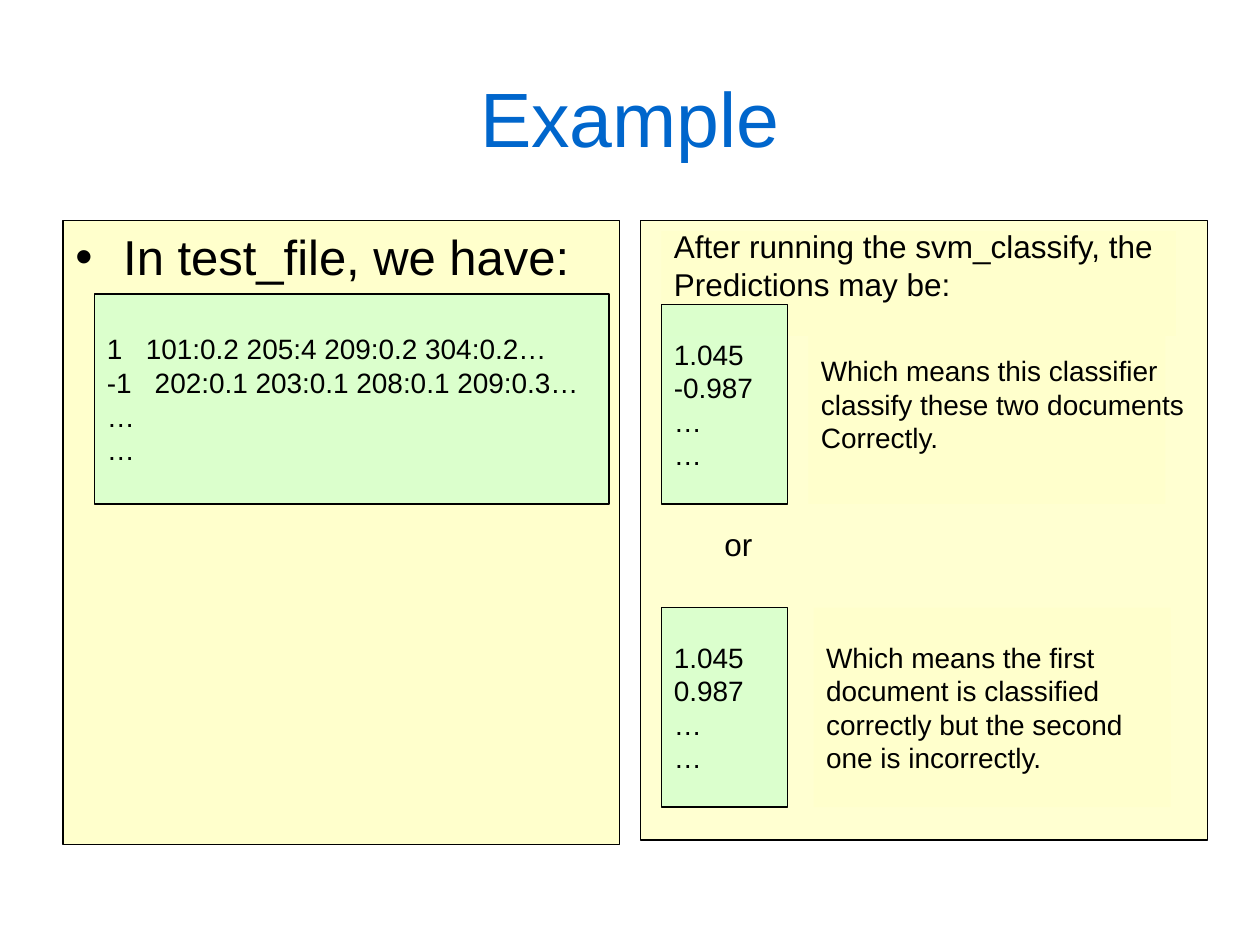
from dataclasses import dataclass

from lxml import etree
from pptx import Presentation
from pptx import util as u
from pptx.dml import color
from pptx.enum import shapes, text
from pptx.oxml import ns

COLORS = {
    "title": "0066CC",
    "ink": "000000",
    "cream": "FFFFCC",
    "mint": "CCFFCC",
}
COLUMNS, ROWS = 120, 90
LEFT_PANEL, RIGHT_PANEL, PANEL_TOP = 6, 61, 21
RESULT_LEFT, RESULT_WIDTH, RESULT_HEIGHT = 63, 12, 19
FIRST_ROW, SECOND_ROW = 29, 57.88

deck = Presentation()
deck.slide_width, deck.slide_height = u.Inches(10), u.Inches(7.5)
page = deck.slides.add_slide(deck.slide_layouts[6])


@dataclass(frozen=True)
class Panel:
    column: float
    row: float
    width: float
    height: float
    fill: str
    opacity: int = 100
    outlined: bool = False
    lines: tuple[str, ...] = ()
    size: float = 16
    bottom_inset: float = 0.05
    tabs: tuple[float, ...] = ()


def rgb(name: str) -> color.RGBColor:
    return color.RGBColor.from_string(COLORS[name])


def place(column: float, row: float, width: float, height: float) -> tuple[int, ...]:
    cell_width = deck.slide_width / COLUMNS
    cell_height = deck.slide_height / ROWS
    return (round(column * cell_width), round(row * cell_height),
            round(width * cell_width), round(height * cell_height))


def write(box, *lines: str, size: float = 16, ink: str = "ink", align=text.PP_ALIGN.LEFT,
          anchor=text.MSO_ANCHOR.MIDDLE, wrap: bool = False, bottom_inset: float = 0.05,
          tabs: tuple[float, ...] = (), bullet: bool = False, grow: bool = False) -> None:
    frame = box.text_frame
    frame.word_wrap = wrap
    frame.vertical_anchor = anchor
    frame.margin_bottom = u.Inches(bottom_inset)
    if grow:
        frame.auto_size = text.MSO_AUTO_SIZE.SHAPE_TO_FIT_TEXT
    for index, line in enumerate(lines):
        para = frame.paragraphs[0] if index == 0 else frame.add_paragraph()
        para.alignment = align
        properties = para._p.get_or_add_pPr()
        if bullet:
            para.space_before = u.Pt(7)
            properties.set("marL", str(u.Inches(0.38)))
            properties.set("indent", str(-u.Inches(0.38)))
            font = etree.SubElement(properties, ns.qn("a:buFont"))
            font.set("typeface", "Arial")
            mark = etree.SubElement(properties, ns.qn("a:buChar"))
            mark.set("char", "•")
        if index < len(tabs):
            stops = etree.SubElement(properties, ns.qn("a:tabLst"))
            stop = etree.SubElement(stops, ns.qn("a:tab"))
            stop.set("pos", str(u.Inches(tabs[index])))
            stop.set("algn", "l")
        span = para.add_run()
        span.text = line
        span.font.name = "Arial"
        span.font.size = u.Pt(size)
        span.font.color.rgb = rgb(ink)


def draw(panel: Panel):
    box = page.shapes.add_shape(
        shapes.MSO_SHAPE.RECTANGLE,
        *place(panel.column, panel.row, panel.width, panel.height))
    box.shadow.inherit = False
    box.fill.solid()
    box.fill.fore_color.rgb = rgb(panel.fill)
    if panel.opacity < 100:
        shade = box._element.spPr.find(ns.qn("a:solidFill"))[0]
        alpha = etree.SubElement(shade, ns.qn("a:alpha"))
        alpha.set("val", str(panel.opacity * 1000))
    if panel.outlined:
        box.line.color.rgb = rgb("ink")
        box.line.width = u.Pt(0.74)
    else:
        box.line.fill.background()
    write(box, *panel.lines, size=panel.size,
          bottom_inset=panel.bottom_inset, tabs=panel.tabs)
    return box


def result(row: float, *values: str) -> Panel:
    return Panel(RESULT_LEFT, row, RESULT_WIDTH, RESULT_HEIGHT, "mint", 70, True,
                 (*values, "…", "…"))


def meaning(column: float, row: float, *lines: str) -> Panel:
    return Panel(column, row, 34, RESULT_HEIGHT, "cream", 90, lines=lines)


draw(Panel(RIGHT_PANEL, PANEL_TOP, 54, 59, "cream", 90, True))
draw(meaning(77.5, SECOND_ROW, "Which means the first ", "document is classified ",
             "correctly but the second", "one is incorrectly."))

title = page.shapes.add_textbox(*place(LEFT_PANEL, 3.6, 108, 15))
write(title, "Example", size=44, ink="title", align=text.PP_ALIGN.CENTER, wrap=True)

test_file = draw(Panel(LEFT_PANEL, PANEL_TOP, 53, 59.4, "cream", outlined=True))
write(test_file, "In test_file, we have:", size=28, anchor=text.MSO_ANCHOR.TOP,
      wrap=True, bullet=True)

PANELS = (
    Panel(9, 28, 49, 20, "mint", 70, True,
          ("1\t101:0.2 205:4 209:0.2 304:0.2…",
           "-1\t202:0.1 203:0.1 208:0.1 209:0.3…", "…", "…"),
          tabs=(0.31, 0.38)),
    Panel(RESULT_LEFT, 22, 49, 10, "cream", 90,
          lines=("After running the svm_classify, the ", "Predictions may be:"),
          size=18, bottom_inset=0.35),
    result(FIRST_ROW, "1.045", "-0.987"),
    meaning(77, FIRST_ROW, "Which means this classifier",
            "classify these two documents", "Correctly."),
    result(SECOND_ROW, "1.045", "0.987"),
)
for panel in PANELS:
    draw(panel)

choice = page.shapes.add_textbox(*place(67.8, 49.45, 5.2, 4.8))
write(choice, "or", size=18, anchor=text.MSO_ANCHOR.TOP, grow=True)

deck.save("out.pptx")
